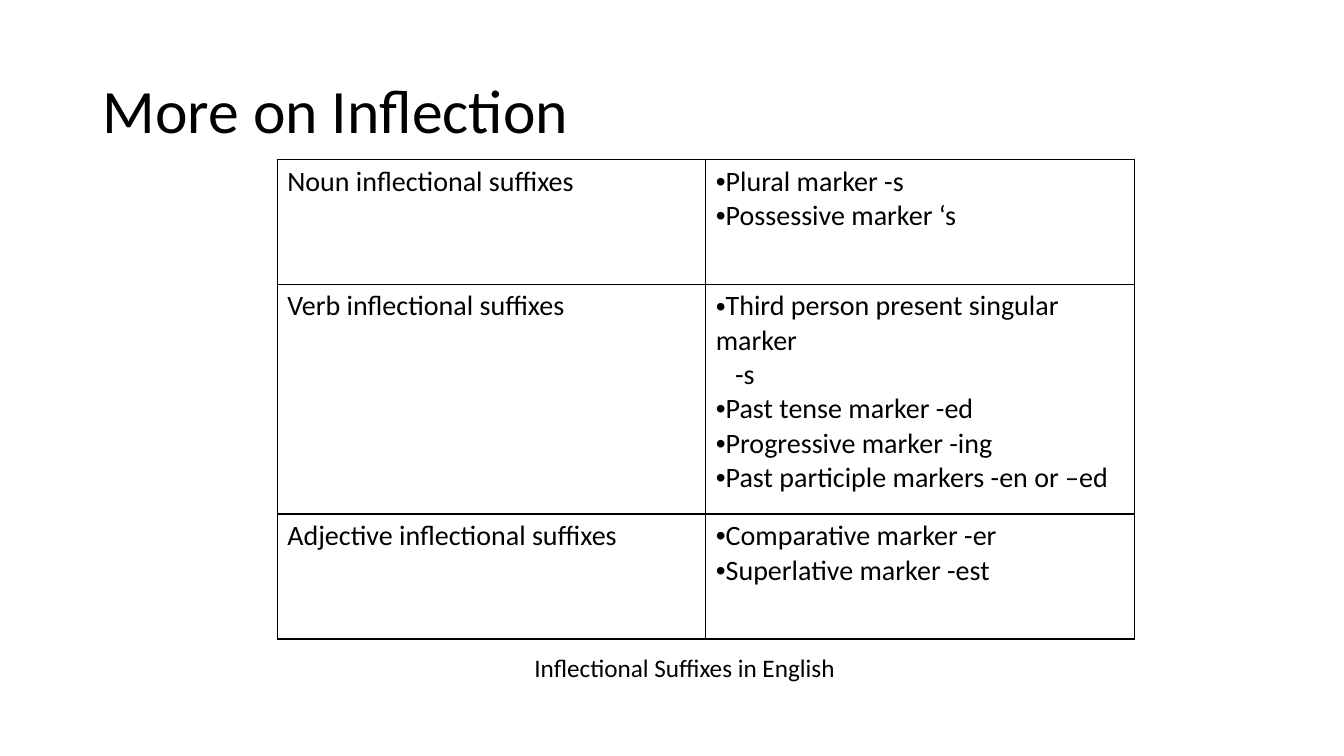
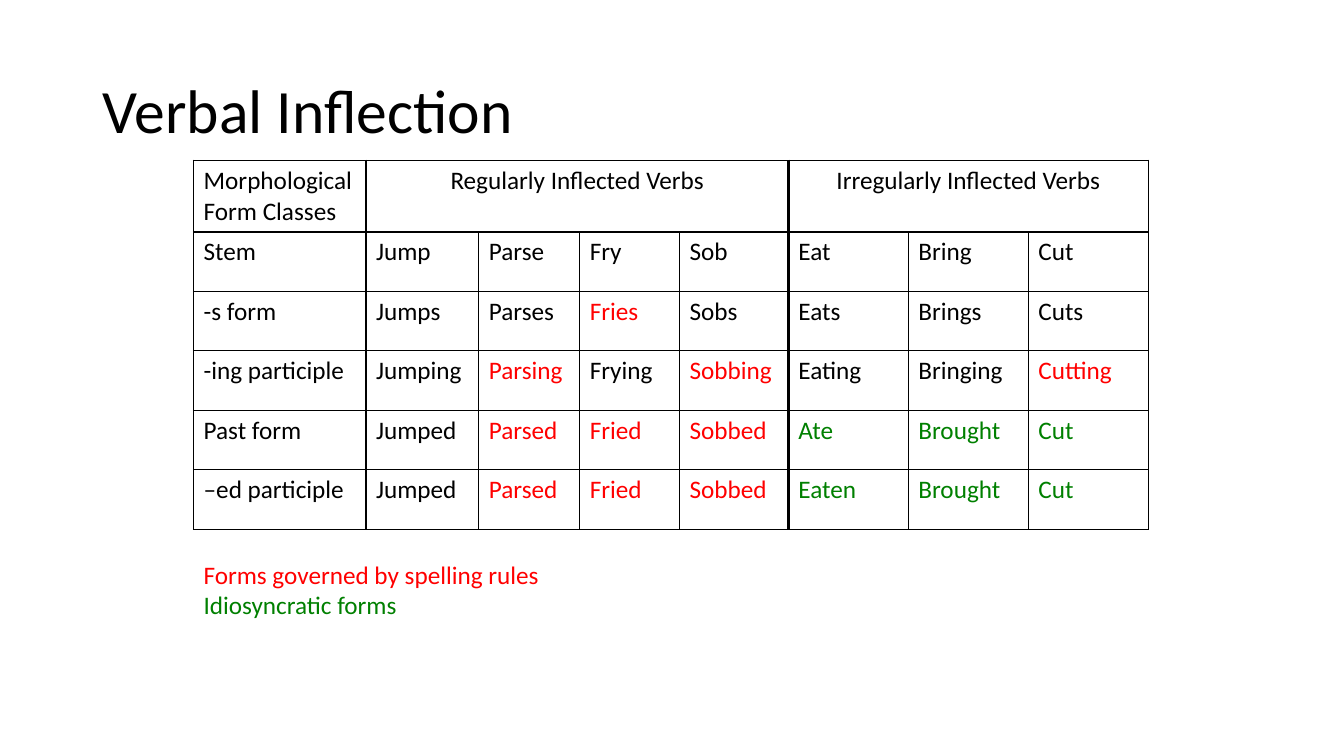
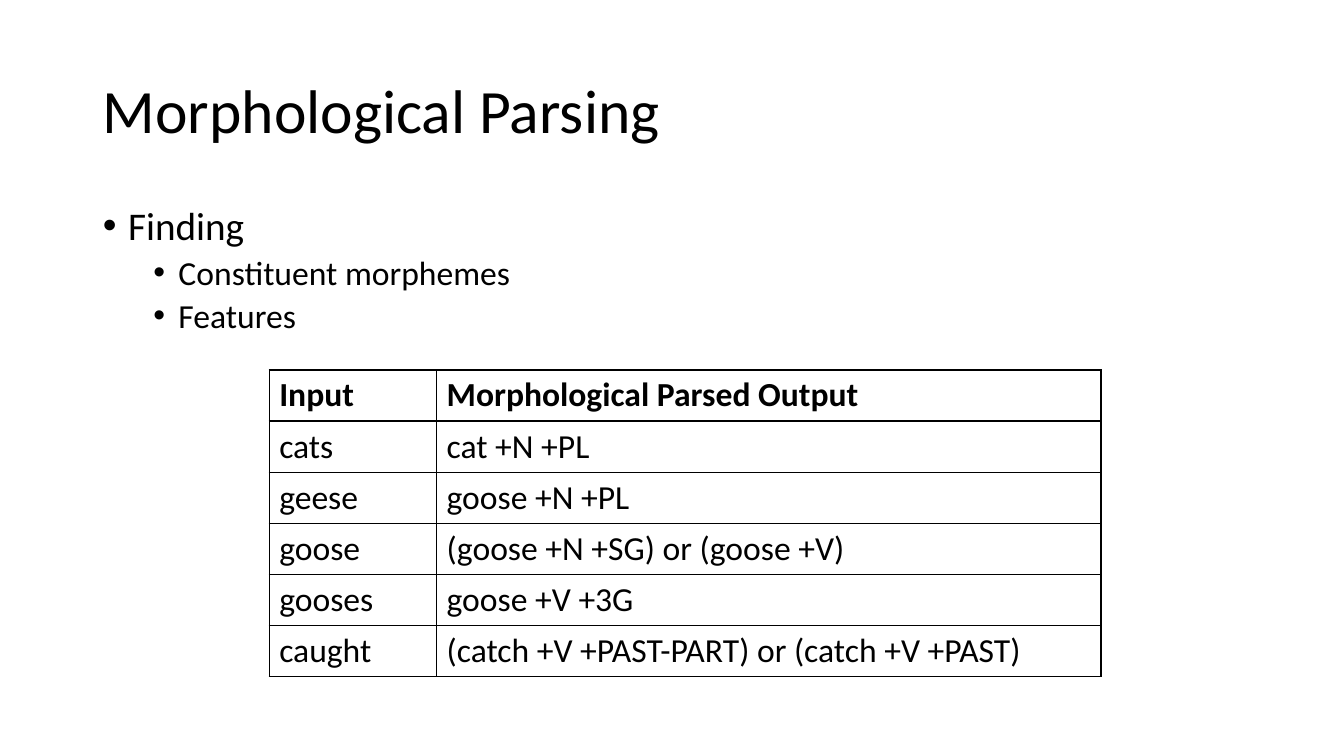
from dataclasses import dataclass, field

from lxml import etree
from pptx import Presentation
from pptx.dml.color import RGBColor
from pptx.enum.text import MSO_ANCHOR, PP_ALIGN
from pptx.oxml.ns import qn
from pptx.util import Inches, Pt

LEFT, CENTER = PP_ALIGN.LEFT, PP_ALIGN.CENTER
MIDDLE = MSO_ANCHOR.MIDDLE
TITLE_BODY, TITLE_ONLY = 1, 5


@dataclass(frozen=True)
class Theme:
    font: str = "Calibri"
    black: str = "000000"
    red: str = "FF0000"
    green: str = "008000"
    title: int = 44
    lead: int = 28
    large: int = 24
    medium: int = 20
    small: int = 18
    thin: float = 1
    thick: float = 2.25
    tight: float = 0.9


THEME = Theme()


@dataclass(frozen=True)
class Line:
    text: str
    size: int = THEME.small
    color: str = THEME.black
    bold: bool = False
    align: PP_ALIGN = LEFT
    bullet: bool = False
    level: int = 0
    margin: float = 0
    indent: float = 0
    before: int = 0
    spacing: float = 1


@dataclass(frozen=True)
class Box:
    left: float
    top: float
    width: float
    height: float

    def place(self) -> tuple:
        return tuple(Inches(n) for n in (self.left, self.top, self.width, self.height))


@dataclass(frozen=True)
class Grid:
    left: float
    top: float
    cols: list[float]
    rows: list[float]
    cells: list[list[list[Line]]]
    spans: list[tuple[int, int]] = field(default_factory=list)  # first and last column in row 0
    thick: tuple[int, ...] = ()  # column edges with a heavy line


TITLE = Box(0.92, 0.4, 11.5, 1.45)
BODY = Box(0.92, 2, 11.5, 4.76)


# Text
def write(frame, lines: list[Line]) -> None:
    frame.word_wrap = True
    for i, line in enumerate(lines):
        para = frame.paragraphs[0] if i == 0 else frame.add_paragraph()
        para.text = line.text
        para.level = line.level
        props = para._p.get_or_add_pPr()
        props.set("marL", str(Inches(line.margin)))
        props.set("indent", str(Inches(line.indent)))
        if line.bullet:
            etree.SubElement(props, qn("a:buFont")).set("typeface", "Arial")
            etree.SubElement(props, qn("a:buChar")).set("char", "•")
        para.alignment = line.align
        para.line_spacing = line.spacing
        para.space_before = Pt(line.before)
        font = para.font
        font.name, font.size, font.bold = THEME.font, Pt(line.size), line.bold
        font.color.rgb = RGBColor.from_string(line.color)


def fill_holder(shape, box: Box, lines: list[Line]) -> None:
    shape.left, shape.top, shape.width, shape.height = box.place()
    write(shape.text_frame, lines)


def add_page(deck, title: str, layout: int = TITLE_ONLY):
    slide = deck.slides.add_slide(deck.slide_layouts[layout])
    line = Line(title, THEME.title, spacing=THEME.tight)
    fill_holder(slide.shapes.title, TITLE, [line])
    slide.shapes.title.text_frame.vertical_anchor = MIDDLE
    return slide


def add_note(slide, box: Box, lines: list[Line]) -> None:
    write(slide.shapes.add_textbox(*box.place()).text_frame, lines)


# Tables
def add_edge(cell, side: str, width: float) -> None:
    edge = etree.SubElement(cell._tc.get_or_add_tcPr(), qn(f"a:ln{side}"))
    edge.set("w", str(Pt(width)))
    paint = etree.SubElement(edge, qn("a:solidFill"))
    etree.SubElement(paint, qn("a:srgbClr")).set("val", THEME.black)


def add_grid(slide, grid: Grid) -> None:
    box = Box(grid.left, grid.top, sum(grid.cols), sum(grid.rows))
    table = slide.shapes.add_table(len(grid.rows), len(grid.cols), *box.place()).table
    table.first_row = table.horz_banding = False
    for col, width in zip(table.columns, grid.cols):
        col.width = Inches(width)
    for row, height in zip(table.rows, grid.rows):
        row.height = Inches(height)
    for first, last in grid.spans:
        table.cell(0, first).merge(table.cell(0, last))
    for r, row in enumerate(grid.cells):
        parts = [c for c in range(len(grid.cols)) if not table.cell(r, c).is_spanned]
        for c, lines in zip(parts, row):
            cell = table.cell(r, c)
            wide = cell.span_width if cell.is_merge_origin else 1
            for side, edge in (("L", c), ("R", c + wide), ("T", None), ("B", None)):
                add_edge(cell, side, THEME.thick if edge in grid.thick else THEME.thin)
            cell.fill.background()
            write(cell.text_frame, lines)


# Slide 1: suffixes by word class
def add_suffix(deck) -> None:
    def name(text: str) -> list[Line]:
        return [Line(text, THEME.medium)]

    def marks(*texts: str) -> list[Line]:
        return [Line(text, THEME.medium, bullet=True) for text in texts]

    slide = add_page(deck, "More on Inflection")
    verbs = [
        *marks("Third person present singular marker"),
        Line("-s", THEME.medium, margin=0.19),
        *marks("Past tense marker -ed", "Progressive marker -ing",
               "Past participle markers -en or –ed"),
    ]
    add_grid(slide, Grid(2.75, 1.58, [4.25] * 2, [1.24, 2.28, 1.24], [
        [name("Noun inflectional suffixes"), marks("Plural marker -s", "Possessive marker ‘s")],
        [name("Verb inflectional suffixes"), verbs],
        [name("Adjective inflectional suffixes"),
         marks("Comparative marker -er", "Superlative marker -est")],
    ]))
    add_note(slide, Box(2.5, 6.42, 8.58, 0.4),
             [Line("Inflectional Suffixes in English", align=CENTER)])


# Slide 2: verb forms, each with a colour key per word
def add_verbs(deck) -> None:
    tones = {"k": THEME.black, "r": THEME.red, "g": THEME.green}
    forms = [
        ("Stem", "Jump Parse Fry Sob Eat Bring Cut", "kkkkkkk"),
        ("-s form", "Jumps Parses Fries Sobs Eats Brings Cuts", "kkrkkkk"),
        ("-ing participle", "Jumping Parsing Frying Sobbing Eating Bringing Cutting", "krkrkkr"),
        ("Past form", "Jumped Parsed Fried Sobbed Ate Brought Cut", "krrrggg"),
        ("–ed participle", "Jumped Parsed Fried Sobbed Eaten Brought Cut", "krrrggg"),
    ]
    head = [[Line("Morphological Form Classes")],
            [Line("Regularly Inflected Verbs", align=CENTER)],
            [Line("Irregularly Inflected Verbs", align=CENTER)]]
    rows = [
        [[Line(form)]] + [[Line(word, color=tones[key])] for word, key in zip(words.split(), keys)]
        for form, words, keys in forms
    ]
    slide = add_page(deck, "Verbal Inflection")
    add_grid(slide, Grid(1.92, 1.59, [1.71, 1.12, 1, 0.99, 1.08] + [1.19] * 3,
                         [0.71] + [0.59] * 5, [head, *rows],
                         spans=[(1, 4), (5, 7)], thick=(1, 5)))
    add_note(slide, Box(1.92, 5.5, 4.25, 0.71),
             [Line("Forms governed by spelling rules", color=THEME.red),
              Line("Idiosyncratic forms", color=THEME.green)])


# Slide 3: parsed words
def add_parsed(deck) -> None:
    slide = add_page(deck, "Morphological Parsing", TITLE_BODY)
    points = [Line("Finding", THEME.lead, bullet=True, margin=0.25, indent=-0.25,
                   spacing=THEME.tight)]
    points += [Line(text, THEME.large, bullet=True, level=1, margin=0.75, indent=-0.25,
                    before=5, spacing=THEME.tight)
               for text in ("Constituent morphemes", "Features")]
    fill_holder(slide.placeholders[1], BODY, points)
    pairs = [
        ("Input", "Morphological Parsed Output"),
        ("cats", "cat +N +PL"),
        ("geese", "goose +N +PL"),
        ("goose", "(goose +N +SG) or (goose +V)"),
        ("gooses", "goose +V +3G"),
        ("caught", "(catch +V +PAST-PART) or (catch +V +PAST)"),
    ]
    cells = [[[Line(text, THEME.large, bold=i == 0)] for text in pair]
             for i, pair in enumerate(pairs)]
    add_grid(slide, Grid(2.67, 3.67, [1.66, 6.59], [0.5] * len(pairs), cells))


def main() -> None:
    deck = Presentation()
    deck.slide_width, deck.slide_height = Inches(13.33), Inches(7.5)
    add_suffix(deck)
    add_verbs(deck)
    add_parsed(deck)
    deck.save("out.pptx")


if __name__ == "__main__":
    main()
